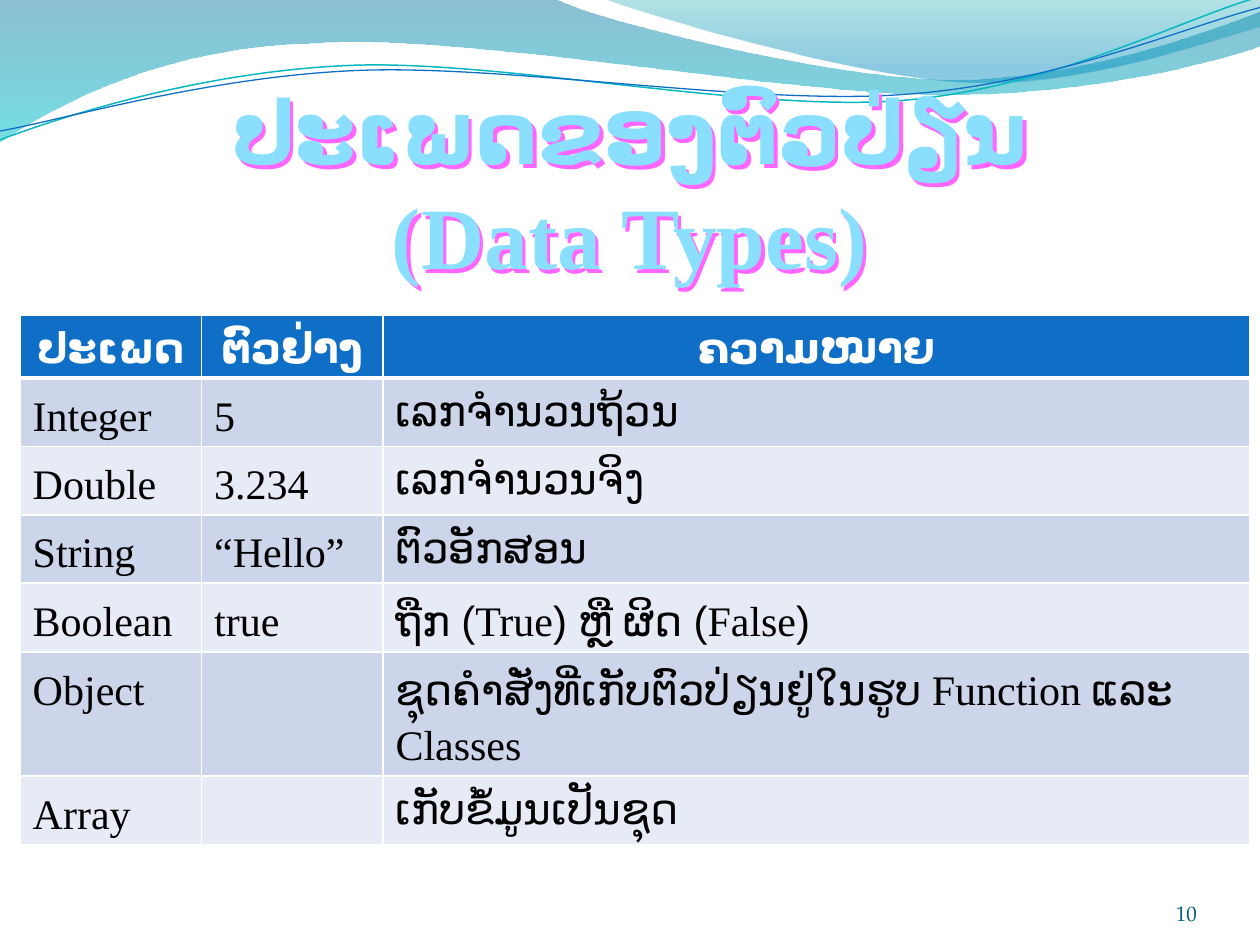
from dataclasses import dataclass
from typing import Optional

import pptx
import pptx.dml.color
import pptx.enum.text
import pptx.oxml
import pptx.oxml.ns
import pptx.util

Inches = pptx.util.Inches
Pt = pptx.util.Pt
RGBColor = pptx.dml.color.RGBColor
ALIGN = pptx.enum.text.PP_ALIGN
qn = pptx.oxml.ns.qn

WHITE = RGBColor(0xFF, 0xFF, 0xFF)
BLACK = RGBColor(0x00, 0x00, 0x00)
BLUE = RGBColor(0x0F, 0x6F, 0xC6)
TEAL = RGBColor(0x0A, 0xB8, 0xBF)
BANDS = (RGBColor(0xCC, 0xD5, 0xEA), RGBColor(0xE7, 0xEB, 0xF5))
TITLE_BLUE = RGBColor(0x8A, 0xDF, 0xFF)
TITLE_EDGE = RGBColor(0x00, 0x9D, 0xD9)
TITLE_SHADOW = RGBColor(0xFF, 0x66, 0xFF)
NUMBER_BLUE = RGBColor(0x04, 0x5D, 0x75)
LATIN, LAO = "Times New Roman", "Arial"
NAMESPACE = pptx.oxml.ns.nsdecls("a")


@dataclass
class Stop:
    percent: int
    color: RGBColor
    opacity: int


@dataclass
class Wave:
    """Outline of two-number line ends and six-number curve segments."""
    start: tuple
    segments: list
    stops: tuple = ()
    line: Optional[RGBColor] = None
    width: float = 0


WAVES = [
    Wave((0, 0), [(4.4, -0.01), (4.76, 0.17, 6.64, 0.63, 7.58, 0.63),
                  (8.53, 0.63, 9.58, 0.26, 10, 0.09), (10.01, 0.36),
                  (9.83, 0.44, 8.7, 0.76, 7.46, 0.75),
                  (6.22, 0.75, 3.82, 0.28, 2.57, 0.34),
                  (1.29, 0.36, 0.46, 0.83, -0.01, 1.13)],
         (Stop(0, RGBColor(0x00, 0x74, 0xA1), 45),
          Stop(100, RGBColor(0x00, 0xC6, 0xCF), 55))),
    Wave((4.79, -0.01), [(5.09, 0.11, 6.82, 0.62, 7.69, 0.65),
                         (8.56, 0.69, 9.61, 0.32, 10, 0.21), (10, 0)],
         (Stop(0, RGBColor(0x00, 0xA1, 0xA9), 30),
          Stop(80, RGBColor(0x00, 0x8B, 0xBF), 45))),
    Wave((0, 1.11), [(0.48, 0.93, 1.58, 0.57, 2.77, 0.52),
                     (3.95, 0.47, 5.93, 0.89, 7.13, 0.8),
                     (8.33, 0.71, 9.38, 0.15, 9.98, -0.02)],
         line=TEAL, width=0.85),
    Wave((0, 1.04), [(0.47, 0.96, 1.64, 0.61, 2.83, 0.56),
                     (4.03, 0.51, 5.97, 0.84, 7.17, 0.75),
                     (8.36, 0.67, 9.41, 0.21, 10, 0.06)],
         line=BLUE, width=0.75),
]

HEADER = ("ປະເພດ", "ຕົວຢ່າງ", "ຄວາມໝາຍ")
# Type, example, and the runs of its meaning
DATA_TYPES = [
    ("Integer", "5", ["ເລກຈໍານວນຖ້ວນ"]),
    ("Double", "3.234", ["ເລກຈໍານວນຈິງ"]),
    ("String", "“Hello”", ["ຕົວອັກສອນ"]),
    ("Boolean", "true", ["ຖືກ (", "True", ") ຫຼື ຜິດ (", "False", ")"]),
    ("Object", "", ["ຊຸດຄໍາສັ່ງທີ່ເກັບຕົວປ່ຽນຢູ່ໃນຮູບ ", "Function ", "ແລະ ", "Classes"]),
    ("Array", "", ["ເກັບຂໍ້ມູນເປັນຊຸດ"]),
]


def bend_segments(shape, wave: Wave) -> None:
    """Turn the straight stand-ins of curve segments into real curves."""
    straight = list(shape.element.iter(qn("a:lnTo")))
    for line, segment in zip(straight, wave.segments):
        if len(segment) == 6:
            points = "".join(
                f'<a:pt x="{Inches(x) - shape.left}" y="{Inches(y) - shape.top}"/>'
                for x, y in zip(segment[::2], segment[1::2]))
            line.getparent().replace(line, pptx.oxml.parse_xml(
                f'<a:cubicBezTo {NAMESPACE}>{points}</a:cubicBezTo>'))


def draw_wave(page, wave: Wave) -> None:
    builder = page.shapes.build_freeform(*map(Inches, wave.start))
    ends = [(Inches(segment[-2]), Inches(segment[-1])) for segment in wave.segments]
    builder.add_line_segments(ends, close=bool(wave.stops))
    shape = builder.convert_to_shape()
    bend_segments(shape, wave)
    shape.shadow.inherit = False
    if not wave.stops:
        shape.fill.background()
        shape.line.color.rgb = wave.line
        shape.line.width = Pt(wave.width)
        return
    shape.line.fill.background()
    stops = "".join(
        f'<a:gs pos="{stop.percent * 1000}"><a:srgbClr val="{stop.color}">'
        f'<a:alpha val="{stop.opacity * 1000}"/></a:srgbClr></a:gs>' for stop in wave.stops)
    gradient = pptx.oxml.parse_xml(
        f'<a:gradFill {NAMESPACE}><a:gsLst>{stops}</a:gsLst>'
        '<a:lin ang="5400000" scaled="0"/></a:gradFill>')
    shape.element.spPr.find(qn("a:custGeom")).addnext(gradient)


def add_span(para, text: str, size: float, font: str, color: RGBColor,
             bold: bool = False) -> None:
    span = para.add_run()
    span.text = text
    span.font.size = Pt(size)
    span.font.name = font
    span.font.bold = bold
    span.font.color.rgb = color


def line_xml(tag: str, width: float, color: RGBColor):
    return pptx.oxml.parse_xml(
        f'<a:{tag} {NAMESPACE} w="{Pt(width)}"><a:solidFill>'
        f'<a:srgbClr val="{color}"/></a:solidFill></a:{tag}>')


def fill_cell(cell, texts, fill: RGBColor, header: bool = False) -> None:
    cell.fill.solid()
    cell.fill.fore_color.rgb = fill
    para = cell.text_frame.paragraphs[0]
    para.line_spacing = 1.2
    if header:
        para.alignment = ALIGN.CENTER
    for text in filter(None, texts):
        font = LATIN if text[0] == "“" or text[0].isalnum() and text.isascii() else LAO
        add_span(para, text, 24, font, WHITE if header else BLACK, header)


def draw_table(page) -> None:
    frame = page.shapes.add_table(len(DATA_TYPES) + 1, len(HEADER), Inches(0.16),
                                  Inches(2.5), Inches(9.76), Inches(2.87))
    table = frame.table
    for column, width in zip(table.columns, (1.44, 1.44, 6.88)):
        column.width = Inches(width)
    for column, text in enumerate(HEADER):
        fill_cell(table.cell(0, column), [text], BLUE, header=True)
    for row, (name, example, meaning) in enumerate(DATA_TYPES, 1):
        for column, texts in enumerate(([name], [example], meaning)):
            fill_cell(table.cell(row, column), texts, BANDS[(row - 1) % 2])
    # Thick rule under the header
    for properties in list(frame.element.iter(qn("a:tcPr")))[:len(HEADER)]:
        properties.insert(0, line_xml("lnB", 3, WHITE))


def set_frame(frame, top: float = 0) -> None:
    frame.word_wrap = True
    frame.auto_size = pptx.enum.text.MSO_AUTO_SIZE.NONE
    frame.vertical_anchor = pptx.enum.text.MSO_ANCHOR.BOTTOM
    frame.margin_left = frame.margin_right = frame.margin_bottom = 0
    frame.margin_top = Inches(top)


def draw_title(page) -> None:
    title = page.shapes.title
    title.left, title.top, title.width, title.height = 0, 0, Inches(10), Inches(2.28)
    set_frame(title.text_frame, 0.05)
    para = title.text_frame.paragraphs[0]
    para.alignment = ALIGN.CENTER
    add_span(para, "ປະເພດຂອງຕົວປ່ຽນ", 50, LATIN, TITLE_BLUE, True)
    para.add_line_break()
    add_span(para, "(Data Types)", 50, LATIN, TITLE_BLUE, True)
    for properties in title.element.iter(qn("a:rPr")):
        properties.insert(0, line_xml("ln", 1.75, TITLE_EDGE))
    # An unfilled shape casts the shadow of its text
    title.fill.background()
    title.element.spPr.append(pptx.oxml.parse_xml(
        f'<a:effectLst {NAMESPACE}><a:outerShdw dist="{Inches(0.04)}" dir="2700000" algn="ctr">'
        f'<a:srgbClr val="{TITLE_SHADOW}"/></a:outerShdw></a:effectLst>'))
    # Bring the title to the front
    title.element.getparent().append(title.element)


def draw_page_number(page) -> None:
    box = page.shapes.add_textbox(Inches(8.67), Inches(6.95), Inches(0.83), Inches(0.4))
    set_frame(box.text_frame)
    para = box.text_frame.paragraphs[0]
    para.alignment = ALIGN.RIGHT
    add_span(para, "10", 12, "TeX Gyre Pagella", NUMBER_BLUE)


deck = pptx.Presentation()
deck.slide_width, deck.slide_height = Inches(10), Inches(7.5)
page = deck.slides.add_slide(deck.slide_layouts[5])
for wave in WAVES:
    draw_wave(page, wave)
draw_table(page)
draw_page_number(page)
draw_title(page)
deck.save("out.pptx")
